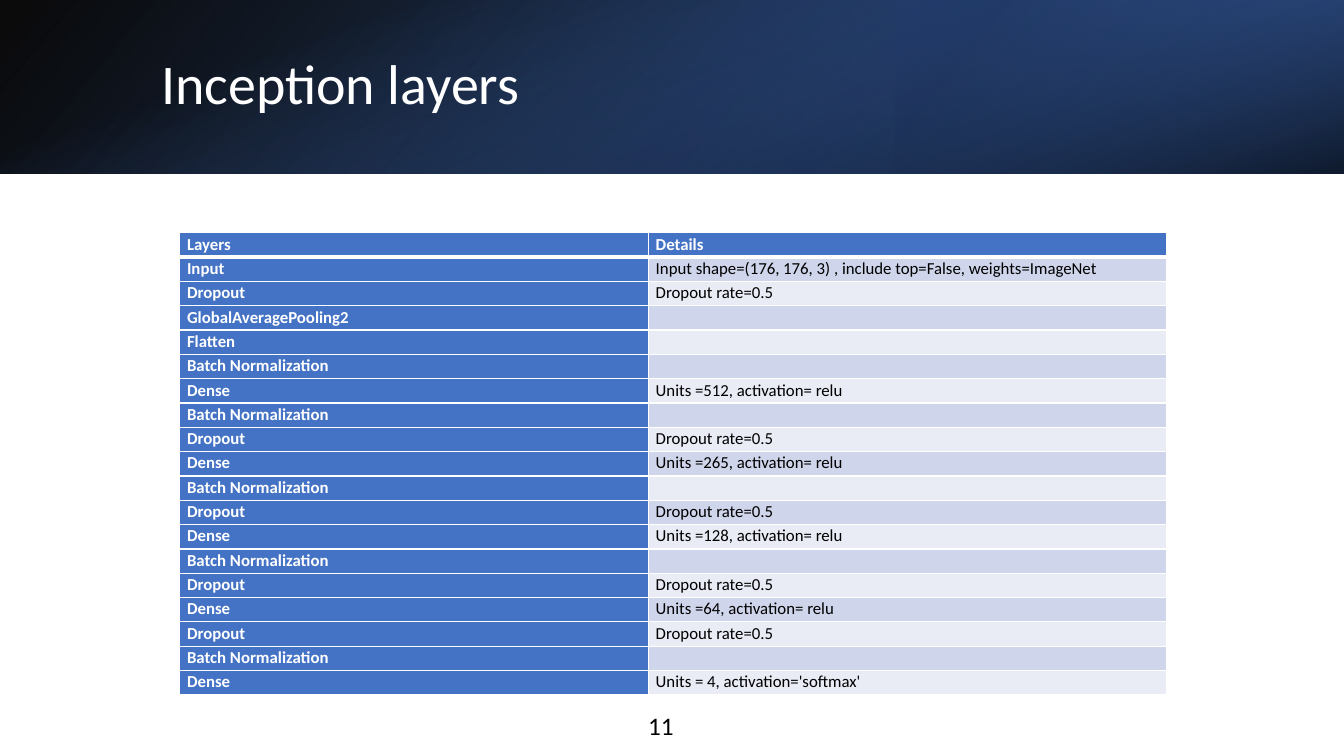
from dataclasses import dataclass

from lxml import etree
from pptx import Presentation
from pptx.dml.color import RGBColor
from pptx.enum.shapes import MSO_SHAPE
from pptx.enum.text import MSO_ANCHOR, MSO_AUTO_SIZE, PP_ALIGN
from pptx.oxml.ns import qn
from pptx.slide import Slide
from pptx.text.text import TextFrame
from pptx.util import Pt

RECT = MSO_SHAPE.RECTANGLE
LEFT = PP_ALIGN.LEFT
MIDDLE = MSO_ANCHOR.MIDDLE
FIXED = MSO_AUTO_SIZE.NONE


@dataclass(frozen=True)
class Theme:
    font: str = "Calibri"
    white: str = "FFFFFF"
    black: str = "000000"
    blue: str = "4472C4"
    deep: str = "2F5597"
    navy: str = "203864"
    bands: tuple[str, str] = ("E9EBF5", "CFD5EA")
    title: float = 40
    body: float = 12
    page: float = 18


@dataclass(frozen=True)
class Box:
    left: float
    top: float
    width: float
    height: float


@dataclass(frozen=True)
class Stop:
    place: int
    color: str
    alpha: int = 100


@dataclass(frozen=True)
class Panel:
    box: Box
    angle: int
    stops: tuple[Stop, Stop]
    turn: int = 0
    flip: bool = False


@dataclass(frozen=True)
class Layer:
    name: str
    detail: str = ""


THEME = Theme()
WIDE, HIGH = 960, 540
BAND = 124

# Header panels, from back to front
PANELS = (
    Panel(Box(0, 0, WIDE, BAND), 140,
          (Stop(0, THEME.black, 96), Stop(100, THEME.deep)), flip=True),
    Panel(Box(WIDE * 2 / 3, 0, WIDE / 3, BAND), 320,
          (Stop(19, THEME.navy, 68), Stop(100, THEME.blue, 79)), 180, True),
    Panel(Box((WIDE - BAND) / 2, (BAND - WIDE) / 2, BAND, WIDE), 340,
          (Stop(23, THEME.blue, 0), Stop(99, THEME.black, 74)), 90),
)

# Table content
NORM = Layer("Batch Normalization")
DROP = Layer("Dropout", "Dropout rate=0.5")


def dense(units: int) -> Layer:
    return Layer("Dense", f"Units ={units}, activation= relu")


LAYERS = (
    Layer("Layers", "Details"),
    Layer("Input",
          "Input shape=(176, 176, 3) , include top=False, weights=ImageNet"),
    DROP, Layer("GlobalAveragePooling2"), Layer("Flatten"), NORM,
    dense(512), NORM, DROP,
    dense(265), NORM, DROP,
    dense(128), NORM, DROP,
    dense(64), DROP, NORM,
    Layer("Dense", "Units = 4, activation='softmax'"),
)
COLS = (334.8, 370.1)
ROW = 17.4
GRID = Box(128.2, 166.2, sum(COLS), ROW * len(LAYERS))


def place(box: Box) -> tuple[Pt, Pt, Pt, Pt]:
    return Pt(box.left), Pt(box.top), Pt(box.width), Pt(box.height)


def add_node(parent, tag: str, **attrs):
    return etree.SubElement(parent, qn(tag),
                            {key: str(val) for key, val in attrs.items()})


def write(frame: TextFrame, text: str, size: float, color: str,
          bold: bool = False, space: float = 1.0) -> None:
    para = frame.paragraphs[0]
    para.alignment = LEFT
    para.line_spacing = space
    if not text:
        add_node(para._p, "a:endParaRPr", sz=int(size * 100))
        return
    run = para.add_run()
    run.text = text
    run.font.name = THEME.font
    run.font.size = Pt(size)
    run.font.bold = bold
    run.font.color.rgb = RGBColor.from_string(color)


def draw_panel(slide: Slide, panel: Panel) -> None:
    shape = slide.shapes.add_shape(RECT, *place(panel.box))
    shape.shadow.inherit = False
    shape.line.fill.background()
    shape.rotation = panel.turn
    props = shape._element.spPr
    if panel.flip:
        props.xfrm.set("flipH", "1")
    grad = add_node(props, "a:gradFill", rotWithShape=1)
    stops = add_node(grad, "a:gsLst")
    for stop in panel.stops:
        mark = add_node(stops, "a:gs", pos=stop.place * 1000)
        color = add_node(mark, "a:srgbClr", val=stop.color)
        add_node(color, "a:alpha", val=stop.alpha * 1000)
    add_node(grad, "a:lin", ang=panel.angle * 60000, scaled=0)
    props.find(qn("a:prstGeom")).addnext(grad)


def style_cell(cell, row: int, col: int, text: str) -> None:
    head = row == 0 or col == 0
    cell.margin_left = cell.margin_right = Pt(5.4)
    cell.margin_top = cell.margin_bottom = 0
    props = cell._tc.get_or_add_tcPr()
    edges = {"L": 1, "R": 1, "T": 3 if row == 1 else 1,
             "B": 3 if row == 0 else 1}
    for side, width in edges.items():
        line = add_node(props, f"a:ln{side}", w=Pt(width))
        fill = add_node(line, "a:solidFill")
        add_node(fill, "a:srgbClr", val=THEME.white)
    cell.fill.solid()
    cell.fill.fore_color.rgb = RGBColor.from_string(
        THEME.blue if head else THEME.bands[row % 2])
    write(cell.text_frame, text, THEME.body,
          THEME.white if head else THEME.black, head, 1.07)


def draw_table(slide: Slide) -> None:
    table = slide.shapes.add_table(len(LAYERS), len(COLS), *place(GRID)).table
    table.horz_banding = False
    for col, width in enumerate(COLS):
        table.columns[col].width = Pt(width)
    for row, layer in enumerate(LAYERS):
        table.rows[row].height = Pt(ROW)
        for col, text in enumerate((layer.name, layer.detail)):
            style_cell(table.cell(row, col), row, col, text)


def draw_title(slide: Slide, text: str) -> None:
    title = slide.shapes.title
    title.left, title.top, title.width, title.height = place(
        Box(108, 27.4, 790.6, 69))
    frame = title.text_frame
    frame.word_wrap = True
    frame.auto_size = FIXED
    frame.vertical_anchor = MIDDLE
    write(frame, text, THEME.title, THEME.white, space=0.9)
    # Bring the title in front of the panels
    slide.shapes._spTree.append(title._element)


def draw_page(slide: Slide, text: str) -> None:
    frame = slide.shapes.add_textbox(*place(Box(455.8, 504, 36.7, 29))).text_frame
    frame.word_wrap = True
    write(frame, text, THEME.page, THEME.black)


def main() -> None:
    deck = Presentation()
    deck.slide_width, deck.slide_height = Pt(WIDE), Pt(HIGH)
    slide = deck.slides.add_slide(deck.slide_layouts[5])
    for panel in PANELS:
        draw_panel(slide, panel)
    draw_title(slide, "Inception layers")
    draw_table(slide)
    draw_page(slide, "11")
    deck.save("out.pptx")


if __name__ == "__main__":
    main()
